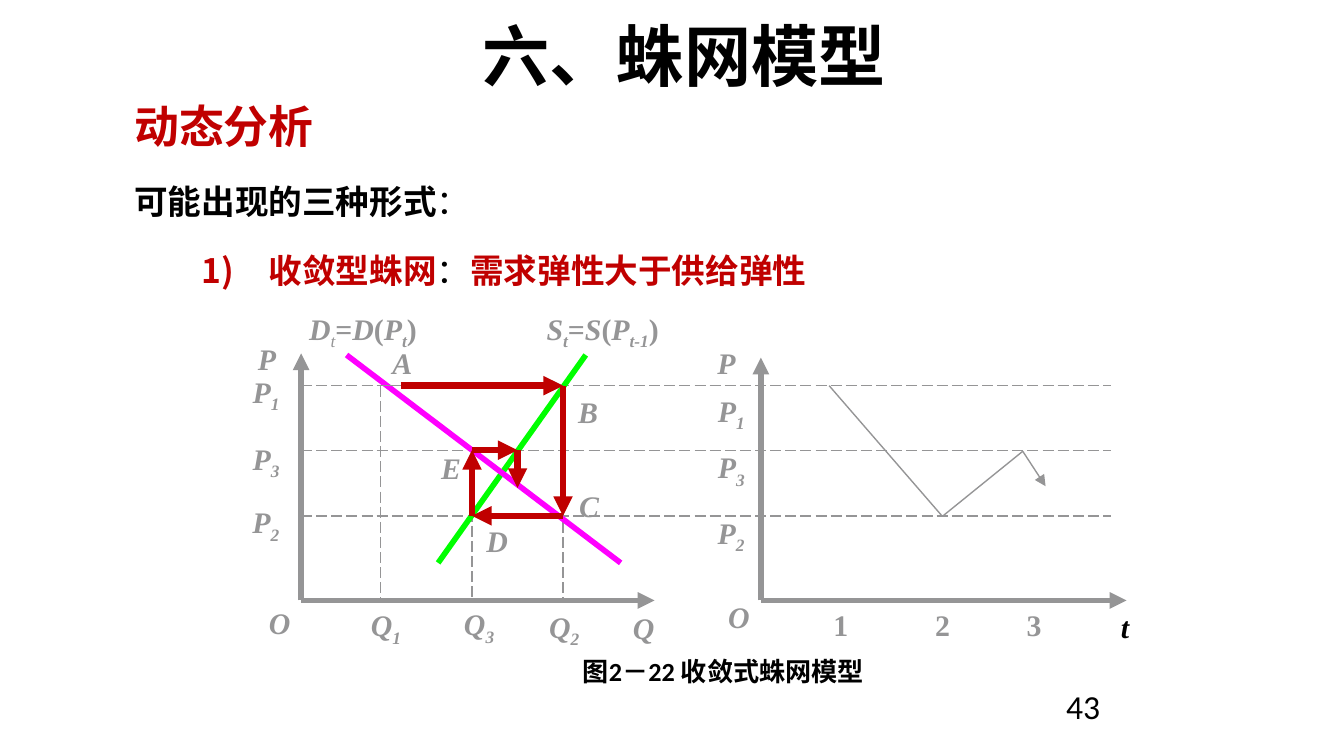
from itertools import pairwise

from lxml.etree import SubElement
from pptx import Presentation
from pptx.dml.color import RGBColor
from pptx.enum.dml import MSO_LINE
from pptx.enum.shapes import MSO_CONNECTOR
from pptx.enum.text import MSO_ANCHOR, PP_ALIGN
from pptx.oxml import parse_xml
from pptx.oxml.ns import nsdecls, qn
from pptx.util import Cm, Pt

BLACK = RGBColor(0x00, 0x00, 0x00)
GREY = RGBColor(0x95, 0x95, 0x96)
RED = RGBColor(0xC0, 0x00, 0x00)
GREEN = RGBColor(0x00, 0xFF, 0x00)
MAGENTA = RGBColor(0xFF, 0x00, 0xFF)


def add_text(p, text, size=18, font="Calibri", color=BLACK, bold=False, italic=False, sub=False):
    r = p.add_run()
    r.text = text
    r.font.size = Pt(size)
    r.font.name = font
    r.font.color.rgb = color
    r.font.bold = bold
    r.font.italic = italic
    if sub:
        r._r.get_or_add_rPr().set("baseline", "-25000")


def set_indent(p, left, hanging):
    pPr = p._p.get_or_add_pPr()
    pPr.set("marL", str(Cm(left)))
    pPr.set("indent", str(-Cm(hanging)))
    return pPr


class Deck:
    label_font = "Times New Roman"
    label_size = 16

    def __init__(self, prs):
        self.slide = prs.slides.add_slide(prs.slide_layouts[5])

    def title(self, text, left, top, width, height):
        sp = self.slide.shapes.title
        sp.left, sp.top, sp.width, sp.height = Cm(left), Cm(top), Cm(width), Cm(height)
        tf = sp.text_frame
        tf.vertical_anchor = MSO_ANCHOR.MIDDLE
        p = tf.paragraphs[0]
        p.alignment = PP_ALIGN.CENTER
        add_text(p, text, size=36, bold=True)

    def box(self, left, top, width, height, wrap=True):
        sp = self.slide.shapes.add_textbox(Cm(left), Cm(top), Cm(width), Cm(height))
        tf = sp.text_frame
        tf.word_wrap = wrap
        return tf

    def text(self, text, left, top, width, height, align=PP_ALIGN.LEFT, **fmt):
        p = self.box(left, top, width, height).paragraphs[0]
        p.alignment = align
        add_text(p, text, **fmt)

    def label(self, pieces, left, top, width, color=GREY):
        p = self.box(left, top, width, 0.94, wrap=False).paragraphs[0]
        p.alignment = PP_ALIGN.CENTER
        for piece in pieces.split("|"):
            sub = piece[0] in "_~"
            add_text(p, piece.lstrip("_~"), size=self.label_size, font=self.label_font,
                     color=color, bold=piece[0] != "~",
                     italic=sub or piece.isalpha(), sub=sub)

    def line(self, start, end, color=GREY, width=0.75, dash=False, arrow=False):
        ends = [Cm(v) for v in (*start, *end)]
        cxn = self.slide.shapes.add_connector(MSO_CONNECTOR.STRAIGHT, *ends)
        cxn.line.color.rgb = color
        cxn.line.width = Pt(width)
        if dash:
            cxn.line.dash_style = MSO_LINE.LONG_DASH
        if arrow:
            SubElement(cxn.line._get_or_add_ln(), qn("a:tailEnd"), type="triangle")
        SubElement(cxn._element.spPr, qn("a:effectLst"))

    def axes(self, x, y, top, right):
        self.line((x, y), (x, top), width=3, arrow=True)
        self.line((x, y), (right, y), width=3, arrow=True)


def add_body(deck):
    tf = deck.box(2.29, 1.75, 20.75, 5.21)
    p = tf.paragraphs[0]
    set_indent(p, 1.27, 1.27)
    add_text(p, "动态分析", size=24, font="Arial", color=RED, bold=True)

    p = tf.add_paragraph()
    set_indent(p, 1.27, 1.27)
    p.line_spacing = 1.7
    add_text(p, "可能出现的三种形式", font="Arial", bold=True)
    add_text(p, "：", font="Arial")

    p = tf.add_paragraph()
    p.level = 1
    p.alignment = PP_ALIGN.JUSTIFY
    p.line_spacing = 1.7
    pPr = set_indent(p, 2.54, 1.27)
    pPr.append(parse_xml(f'<a:buClr {nsdecls("a")}><a:srgbClr val="{RED}"/></a:buClr>'))
    SubElement(pPr, qn("a:buAutoNum"), type="arabicParenR")
    add_text(p, "收敛型蛛网", font="Arial", color=RED, bold=True)
    add_text(p, "：", font="Arial")
    add_text(p, "需求弹性大于供给弹性", font="Arial", color=RED, bold=True)


def add_cobweb(deck):
    origin, base, right = 5.69, 11.35, 21
    p1, p3, p2 = 7.29, 8.51, 9.75
    q1, q3, q2 = 7.19, 8.92, 10.64
    deck.axes(origin, base, 6.68, 12.37)
    for x, y in ((q1, p1), (q3, p3), (q2, p1)):
        deck.line((x, y), (x, base), dash=True)
    for y in (p1, p3, p2):
        deck.line((origin, y), (right, y), dash=True)
    deck.line((11.07, 6.71), (8.28, 10.64), color=GREEN, width=3)
    deck.line((11.73, 10.64), (6.55, 6.71), color=MAGENTA, width=3)
    deck.line((q1, p1), (q2, p1), arrow=True)
    spiral = [(7.57, p1), (q2, p1), (q2, p2), (q3, p2), (q3, p3), (9.78, p3), (9.78, 9.22)]
    for start, end in pairwise(spiral):
        deck.line(start, end, color=RED, width=3.5, arrow=True)

    for label in (
        ("D|~t|=|D|(|P|_t|)", 5.59, 5.74, 2.54), ("S|_t|=|S|(|P|_t-1|)", 10.08, 5.74, 2.62),
        ("P", 4.6, 6.32, 0.89), ("P|_1", 4.52, 6.93, 1.02),
        ("P|_3", 4.52, 8.2, 1.02), ("P|_2", 4.39, 9.4, 1.27),
        ("O", 4.83, 11.3, 0.91), ("Q|_1", 6.76, 11.35, 1.07),
        ("Q|_3", 8.46, 11.33, 1.19), ("Q|_2", 10.13, 11.38, 1.07), ("Q", 11.71, 11.4, 0.91),
        ("A", 7.16, 6.4, 0.89), ("B", 10.67, 7.32, 0.89), ("C", 10.69, 9.09, 0.89),
        ("D", 8.94, 9.75, 0.91), ("E", 8.08, 8.38, 0.89),
    ):
        deck.label(*label)


def add_price_path(deck):
    deck.axes(14.38, 11.35, 6.76, 21.29)
    path = [(15.67, 7.29), (17.81, 9.76), (19.33, 8.53), (19.76, 9.19)]
    for start, end in pairwise(path):
        deck.line(start, end, arrow=end == path[-1])

    for label in (
        ("P", 13.31, 6.4, 0.84), ("P|_1", 13.31, 7.29, 1.02),
        ("P|_3", 13.31, 8.36, 1.02), ("P|_2", 13.28, 9.6, 1.07),
        ("O", 13.51, 11.2, 0.91), ("1", 15.47, 11.35, 0.84),
        ("2", 17.42, 11.35, 0.79), ("3", 19.15, 11.35, 0.79), ("t", 20.83, 11.38, 0.86, BLACK),
    ):
        deck.label(*label)


def main():
    prs = Presentation()
    prs.slide_width, prs.slide_height = Cm(25.4), Cm(14.29)
    deck = Deck(prs)
    deck.title("六、蛛网模型", 1.5, 0, 22.86, 2.06)
    add_body(deck)
    add_cobweb(deck)
    add_price_path(deck)
    deck.text("图2－22 收敛式蛛网模型", 7.77, 12.27, 11.81, 0.86,
              align=PP_ALIGN.CENTER, size=14, bold=True)
    deck.text("43", 19.9, 12.85, 5.08, 0.97)
    prs.save("out.pptx")


if __name__ == "__main__":
    main()
